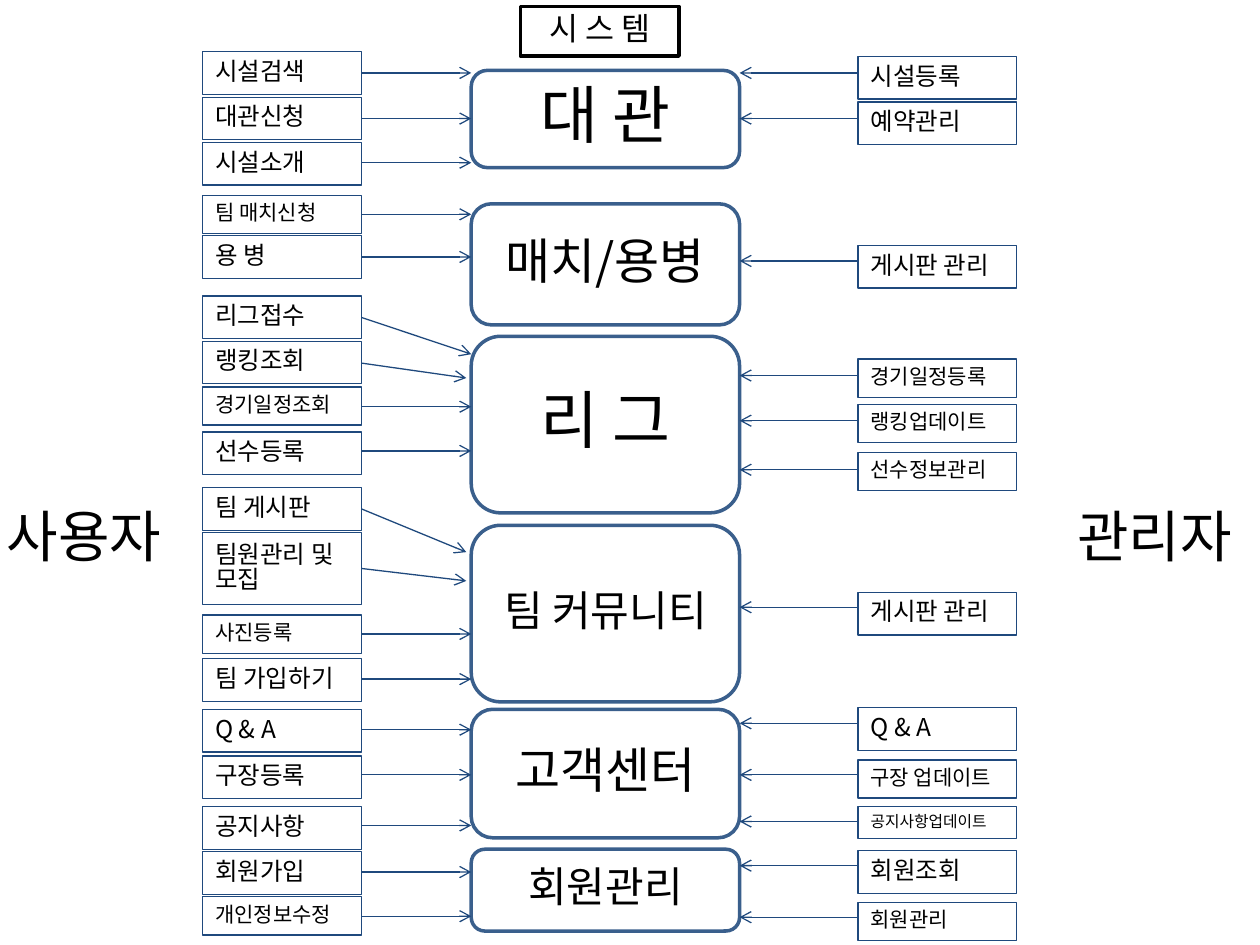
from dataclasses import dataclass

from lxml import etree
from pptx import Presentation
from pptx.dml.color import RGBColor
from pptx.enum.shapes import MSO_CONNECTOR, MSO_SHAPE
from pptx.enum.text import MSO_ANCHOR, PP_ALIGN
from pptx.oxml.ns import qn
from pptx.util import Cm, Pt

RECT, ROUNDED = MSO_SHAPE.RECTANGLE, MSO_SHAPE.ROUNDED_RECTANGLE
STRAIGHT = MSO_CONNECTOR.STRAIGHT
LEFT, CENTER = PP_ALIGN.LEFT, PP_ALIGN.CENTER
MIDDLE = MSO_ANCHOR.MIDDLE


@dataclass(frozen=True)
class Theme:
    font: str = "Noto Sans CJK KR"
    ink: RGBColor = RGBColor(0x00, 0x00, 0x00)
    paper: RGBColor = RGBColor(0xFF, 0xFF, 0xFF)
    area_border: RGBColor = RGBColor(0x3A, 0x5F, 0x8C)
    action_border: RGBColor = RGBColor(0x1F, 0x49, 0x7D)
    thick: Pt = Pt(2)
    thin: Pt = Pt(0.75)
    actor: int = 32
    heading: int = 18
    huge: int = 36
    large: int = 28
    medium: int = 24
    normal: int = 14
    small: int = 12
    tiny: int = 9


THEME = Theme()


def write(shape, text, *, size, align=CENTER):
    """Fill the shape with one vertically centred paragraph in the slide font."""
    frame = shape.text_frame
    frame.word_wrap = True
    frame.vertical_anchor = MIDDLE
    frame.margin_top = frame.margin_bottom = 0
    paragraph = frame.paragraphs[0]
    paragraph.alignment = align
    paragraph.line_spacing = 0.84
    run = paragraph.add_run()
    run.text = text
    run.font.size = Pt(size)
    run.font.name = THEME.font
    run.font.color.rgb = THEME.ink
    east_asian = etree.SubElement(run.font._element, qn("a:ea"))
    east_asian.set("typeface", THEME.font)


def add_arrow(x1, y1, x2, y2):
    arrow = slide.shapes.add_connector(STRAIGHT, Cm(x1), Cm(y1), Cm(x2), Cm(y2))
    arrow.line.color.rgb = THEME.action_border
    arrow.line.width = THEME.thin
    etree.SubElement(arrow.line._get_or_add_ln(), qn("a:tailEnd")).set("type", "arrow")
    etree.SubElement(arrow._element.spPr, qn("a:effectLst"))


prs = Presentation()
prs.slide_width, prs.slide_height = Cm(25.4), Cm(19.05)
slide = prs.slides.add_slide(prs.slide_layouts[6])

# System heading and its areas
AREA_LEFT, AREA_WIDTH = 9.5, 5.41
AREA_RIGHT = AREA_LEFT + AREA_WIDTH
areas = [
    ("대 관", 1.42, 1.96, THEME.huge),
    ("매치/용병", 4.11, 2.44, THEME.large),
    ("리 그", 6.78, 3.56, THEME.huge),
    ("팀 커뮤니티", 10.59, 3.56, THEME.medium),
    ("고객센터", 14.3, 2.59, THEME.large),
    ("회원관리", 17.12, 1.65, THEME.medium),
]
system_boxes = [(RECT, "시 스 템", 10.49, 0.13, 3.2, 1, THEME.heading, THEME.ink)]
for name, top, height, size in areas:
    system_boxes.append(
        (ROUNDED, name, AREA_LEFT, top, AREA_WIDTH, height, size, THEME.area_border))

for outline, name, left, top, width, height, size, border in system_boxes:
    box = slide.shapes.add_shape(outline, Cm(left), Cm(top), Cm(width), Cm(height))
    box.shadow.inherit = False
    box.fill.solid()
    box.fill.fore_color.rgb = THEME.paper
    box.line.color.rgb = border
    box.line.width = THEME.thick
    write(box, name, size=size)

# Actors
for actor, left, width in [("사용자", -0.3, 3.99), ("관리자", 21.18, 4.19)]:
    label = slide.shapes.add_textbox(Cm(left), Cm(10.08), Cm(width), Cm(1.63))
    write(label, actor, size=THEME.actor)

# Actions: text, box top, type size, height of the arrow's start
ACTION_WIDTH, USER_LEFT, ADMIN_LEFT = 3.2, 4.09, 17.3
BOX_HEIGHT = {THEME.normal: 0.86, THEME.small: 0.77, THEME.tiny: 0.64}
TWO_LINE_HEIGHT = {"팀원관리 및 모집": 1.45}
user_actions = [
    ("시설검색", 1.04, THEME.normal, 1.47),
    ("대관신청", 1.96, THEME.normal, 2.39),
    ("시설소개", 2.87, THEME.normal, 3.28),
    ("팀 매치신청", 3.94, THEME.small, 4.32),
    ("용 병", 4.75, THEME.normal, 5.18),
    ("리그접수", 5.97, THEME.normal, 6.4),
    ("랭킹조회", 6.88, THEME.normal, 7.32),
    ("경기일정조회", 7.8, THEME.small, 8.2),
    ("선수등록", 8.71, THEME.normal, 9.09),
    ("팀 게시판", 9.83, THEME.normal, 10.26),
    ("팀원관리 및 모집", 10.74, THEME.normal, 11.46),
    ("사진등록", 12.4, THEME.small, 12.78),
    ("팀 가입하기", 13.28, THEME.normal, 13.69),
    ("Q & A", 14.3, THEME.normal, 14.71),
    ("구장등록", 15.24, THEME.normal, 15.62),
    ("공지사항", 16.26, THEME.normal, 16.64),
    ("회원가입", 17.17, THEME.normal, 17.58),
    ("개인정보수정", 18.08, THEME.small, 18.47),
]
admin_actions = [
    ("시설등록", 1.14, THEME.normal, 1.47),
    ("예약관리", 2.06, THEME.normal, 2.39),
    ("게시판 관리", 4.95, THEME.normal, 5.26),
    ("경기일정등록", 7.24, THEME.small, 7.57),
    ("랭킹업데이트", 8.15, THEME.small, 8.48),
    ("선수정보관리", 9.12, THEME.small, 9.47),
    ("게시판 관리", 11.94, THEME.normal, 12.24),
    ("Q & A", 14.27, THEME.normal, 14.58),
    ("구장 업데이트", 15.32, THEME.small, 15.62),
    ("공지사항업데이트", 16.26, THEME.tiny, 16.56),
    ("회원조회", 17.15, THEME.normal, 17.45),
    ("회원관리", 18.19, THEME.small, 18.49),
]
# Arrow tips of the actions whose arrows slope
sloped_tips = {
    "리그접수": (AREA_LEFT, 7.14),
    "랭킹조회": (9.4, 7.62),
    "팀 게시판": (9.4, 11.13),
    "팀원관리 및 모집": (9.4, 11.71),
}

for actions, left, arrow_start, area_edge in [
    (user_actions, USER_LEFT, USER_LEFT + ACTION_WIDTH, AREA_LEFT),
    (admin_actions, ADMIN_LEFT, ADMIN_LEFT, AREA_RIGHT),
]:
    for action, top, size, arrow_y in actions:
        height = TWO_LINE_HEIGHT.get(action, BOX_HEIGHT[size])
        box = slide.shapes.add_textbox(Cm(left), Cm(top), Cm(ACTION_WIDTH), Cm(height))
        box.line.color.rgb = THEME.action_border
        box.line.width = THEME.thin
        write(box, action, size=size, align=LEFT)
        add_arrow(arrow_start, arrow_y, *sloped_tips.get(action, (area_edge, arrow_y)))

prs.save("out.pptx")
